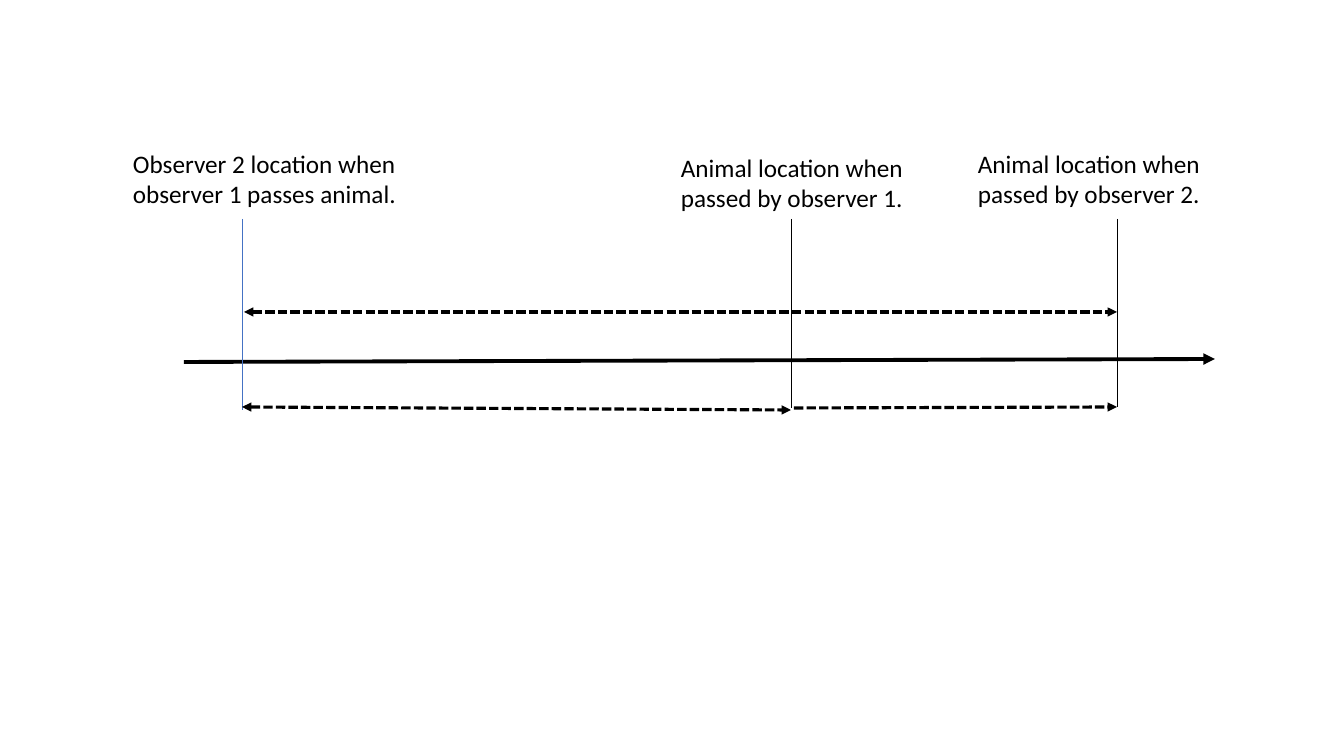
"""Diagram of observer and animal locations along a transect."""
from pptx import Presentation, util as u
from pptx.dml.color import RGBColor
from pptx.enum import dml, shapes, text
from pptx.oxml.ns import qn
from lxml import etree

PX = 914400 / 100.8
COLORS = {"ink": "000000", "paper": "FFFFFF", "observer": "4472C4"}
LABEL_FORMAT = {"name": "Calibri", "size": u.Pt(18)}
FRAME_FORMAT = {"word_wrap": False, "auto_size": text.MSO_AUTO_SIZE.SHAPE_TO_FIT_TEXT}

OBSERVER_2, ANIMAL_1, ANIMAL_2 = 242, 791, 1117
MARK_TOP, LABEL_HEIGHT = 219, 72

STYLES = {
    "track": {"width": 2.75, "color": "ink", "ends": ["tailEnd"]},
    "span": {"width": 2.25, "color": "ink", "ends": ["headEnd", "tailEnd"], "dashed": True},
    "reach": {"width": 2.25, "color": "ink", "ends": ["tailEnd"], "dashed": True},
    "mark": {"width": 0.5, "color": "ink", "ends": []},
    "observer mark": {"width": 0.5, "color": "observer", "ends": []},
}
LINES = [
    ("track", (184, 362), (1215, 359)),
    ("observer mark", (OBSERVER_2, MARK_TOP), (OBSERVER_2, 410)),
    ("mark", (ANIMAL_2, MARK_TOP), (ANIMAL_2, 407)),
    ("span", (OBSERVER_2, 407), (ANIMAL_1, 410)),
    ("span", (244, 312), (ANIMAL_2, 312)),
    ("reach", (794, 408), (ANIMAL_2, 407)),
    ("mark", (ANIMAL_1, MARK_TOP), (ANIMAL_1, 408)),
]
LABELS = [
    (123, 143, 286, ["Observer 2 location when", "observer 1 passes animal."]),
    (671, 147, 247, ["Animal location when", "passed by observer 1."]),
    (968, 143, 247, ["Animal location when", "passed by observer 2."]),
]


def px(*lengths):
    return [u.Emu(round(length * PX)) for length in lengths]


def color(name):
    return RGBColor.from_string(COLORS[name])


def add_line(slide, style, start, end):
    connector = slide.shapes.add_connector(shapes.MSO_CONNECTOR.STRAIGHT, *px(*start, *end))
    look = STYLES[style]
    connector.line.width = u.Pt(look["width"])
    connector.line.color.rgb = color(look["color"])
    if look.get("dashed"):
        connector.line.dash_style = dml.MSO_LINE.SQUARE_DOT
    properties = connector._element.spPr
    outline = properties.find(qn("a:ln"))
    for arrowhead in look["ends"]:
        etree.SubElement(outline, qn(f"a:{arrowhead}"), type="triangle")
    etree.SubElement(properties, qn("a:effectLst"))


def add_label(slide, left, top, width, wording):
    label = slide.shapes.add_textbox(*px(left, top, width, LABEL_HEIGHT))
    label.fill.solid()
    label.fill.fore_color.rgb = color("paper")
    frame = label.text_frame
    for name, value in FRAME_FORMAT.items():
        setattr(frame, name, value)
    frame.text = "\n".join(wording)
    for paragraph in frame.paragraphs:
        font = paragraph.runs[0].font
        for name, value in LABEL_FORMAT.items():
            setattr(font, name, value)
        font.color.rgb = color("ink")


def main():
    deck = Presentation()
    deck.slide_width, deck.slide_height = px(1344, 756)
    slide = deck.slides.add_slide(deck.slide_layouts[6])
    for label in LABELS:
        add_label(slide, *label)
    for line in LINES:
        add_line(slide, *line)
    deck.save("out.pptx")


if __name__ == "__main__":
    main()
